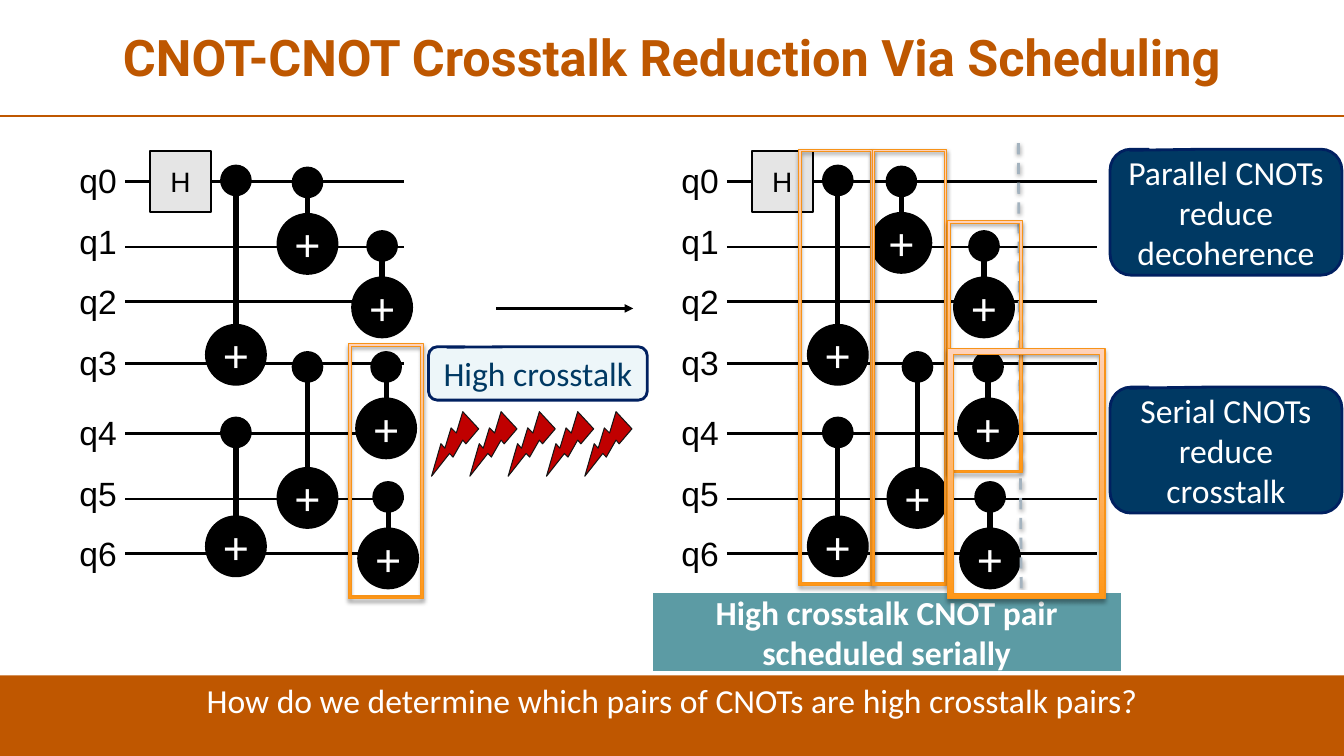
from lxml import etree
from pptx import Presentation
from pptx.dml.color import RGBColor
from pptx.enum.dml import MSO_LINE
from pptx.enum.shapes import MSO_CONNECTOR, MSO_SHAPE
from pptx.enum.text import MSO_ANCHOR, PP_ALIGN
from pptx.oxml.ns import qn
from pptx.util import Inches, Pt

RECT, OVAL, FRAME = MSO_SHAPE.RECTANGLE, MSO_SHAPE.OVAL, MSO_SHAPE.FRAME
BOLT, CALLOUT = MSO_SHAPE.LIGHTNING_BOLT, MSO_SHAPE.ROUNDED_RECTANGULAR_CALLOUT
STRAIGHT, DASH = MSO_CONNECTOR.STRAIGHT, MSO_LINE.DASH
TOP, MIDDLE = MSO_ANCHOR.TOP, MSO_ANCHOR.MIDDLE
LEFT, CENTER = PP_ALIGN.LEFT, PP_ALIGN.CENTER

BLACK, WHITE, ORANGE = "000000", "FFFFFF", "BF5700"
NAVY, NAVY_LINE = "003963", "002060"

# Circuit geometry, measured for the left circuit
WIRES = [1.8, 2.45, 2.99, 3.61, 4.3, 4.95, 5.49]
LABEL_TOPS = [1.54, 2.14, 2.74, 3.34, 4.04, 4.64, 5.24]
DOT, TARGET = 0.3, 0.6
# CNOTs: centre x, top of control, top of target
SHARED_CNOTS = [(3.83, 3.49, 3.95), (2.34, 1.64, 3.22), (3.79, 2.29, 2.75),
                (2.34, 4.14, 5.12), (3.85, 4.78, 5.24)]
LEFT_CNOTS = SHARED_CNOTS + [(3.05, 1.66, 2.12), (3.05, 3.49, 4.64)]
RIGHT_CNOTS = SHARED_CNOTS + [(2.97, 1.65, 2.11), (3.13, 3.49, 4.64)]


def rgb(color):
    return RGBColor.from_string(color)


class Deck:
    """Holds the slide, the place new shapes go to, and the style."""

    def __init__(self, prs):
        self.s = prs.slides.add_slide(prs.slide_layouts[5])
        self.shapes = self.s.shapes

    def add_text(self, tf, lines, size, color, font="Calibri", bold=False,
                 align=CENTER, anchor=MIDDLE):
        tf.word_wrap = True
        tf.vertical_anchor = anchor
        for i, line in enumerate(lines):
            p = tf.paragraphs[0] if i == 0 else tf.add_paragraph()
            p.alignment = align
            r = p.add_run()
            r.text = line
            r.font.size, r.font.bold, r.font.name = Pt(size), bold, font
            r.font.color.rgb = rgb(color)

    def title(self, text, x, y, w, h):
        sp = self.s.shapes.title
        sp.left, sp.top, sp.width, sp.height = map(Inches, (x, y, w, h))
        self.add_text(sp.text_frame, [text], 36, "BE5700", "Roboto", bold=True)
        sp.text_frame.paragraphs[0].line_spacing = 0.9

    def label(self, text, x, y, w, h):
        sp = self.shapes.add_textbox(*map(Inches, (x, y, w, h)))
        self.add_text(sp.text_frame, [text], 24, BLACK, "Arial",
                      align=LEFT, anchor=TOP)

    def shape(self, kind, x, y, w, h, fill, line=None, width=1.0):
        sp = self.shapes.add_shape(kind, *map(Inches, (x, y, w, h)))
        sp.shadow.inherit = False
        sp.fill.solid()
        sp.fill.fore_color.rgb = rgb(fill)
        if line:
            sp.line.color.rgb = rgb(line)
            sp.line.width = Pt(width)
        else:
            sp.line.fill.background()
        return sp

    def line(self, x1, y1, x2, y2, color=BLACK, width=2.0):
        cn = self.shapes.add_connector(
            STRAIGHT, *map(Inches, (x1, y1, x2, y2)))
        cn.line.color.rgb = rgb(color)
        cn.line.width = Pt(width)
        etree.SubElement(cn._element.spPr, qn("a:effectLst"))
        return cn

    def arrow(self, *ends):
        cn = self.line(*ends)
        ln = cn._element.spPr.find(qn("a:ln"))
        etree.SubElement(ln, qn("a:tailEnd"), type="triangle")

    def drop_shadow(self, sp, blur, dist, alpha):
        effects = sp._element.spPr.find(qn("a:effectLst"))
        shadow = etree.SubElement(
            effects, qn("a:outerShdw"), blurRad=str(Pt(blur)),
            dist=str(Pt(dist)), dir="5400000", rotWithShape="0")
        color = etree.SubElement(shadow, qn("a:srgbClr"), val=BLACK)
        etree.SubElement(color, qn("a:alpha"), val=str(alpha * 1000))

    def frame(self, x, y, w, h):
        sp = self.shape(FRAME, x, y, w, h, WHITE, "F79319", 0.75)
        sp.adjustments[0] = 0.036
        sp.fill.gradient()
        sp.fill.gradient_angle = 90
        stops = zip(sp.fill.gradient_stops, (0, 1), ("FF9717", "FFD2B9"))
        for stop, position, color in stops:
            stop.position = position
            stop.color.rgb = rgb(color)
        self.drop_shadow(sp, 3.1, 1.8, 35)

    def callout(self, lines, x, y, w, h, fill, color):
        sp = self.shape(CALLOUT, x, y, w, h, fill, NAVY_LINE, 2)
        for i, value in enumerate((-0.415, -0.491, 0.167)):
            sp.adjustments[i] = value
        self.add_text(sp.text_frame, lines, 24, color)

    def gate(self, kind, text, size, x, y, fill, color, width):
        sp = self.shape(kind, x, y, TARGET, TARGET, fill, BLACK, width)
        tf = sp.text_frame
        tf.margin_left = tf.margin_right = tf.margin_top = tf.margin_bottom = 0
        self.add_text(tf, [text], size, color, "Arial")

    def cnot(self, x, control, target):
        self.shape(OVAL, x - DOT / 2, control, DOT, DOT, BLACK, BLACK)
        self.line(x, control + DOT, x, target, width=3.75)
        self.gate(OVAL, "+", 32, x - TARGET / 2, target, BLACK, WHITE, 1)

    def circuit(self, dx, wire_length, cnots):
        self.shapes = self.s.shapes.add_group_shape().shapes
        for i, (wire, top) in enumerate(zip(WIRES, LABEL_TOPS)):
            self.line(1.24 + dx, wire, 1.24 + dx + wire_length, wire)
            self.label(f"q{i}", 0.69 + dx, top, 0.6, 0.5)
        self.gate(RECT, "H", 20, 1.49 + dx, 1.5, "E5E5E5", BLACK, 1.5)
        for x, control, target in cnots:
            self.cnot(x + dx, control, target)
        self.shapes = self.s.shapes


def main():
    prs = Presentation()
    prs.slide_width, prs.slide_height = Inches(13.33), Inches(7.5)
    d = Deck(prs)

    # Title and rule
    d.title("CNOT-CNOT Crosstalk Reduction Via Scheduling",
            0.09, 0.04, 13.15, 1.11)
    d.line(0, 1.15, 13.33, 1.15, ORANGE, 1.5)

    # Circuits before and after scheduling
    d.circuit(0, 2.77, LEFT_CNOTS)
    d.circuit(5.97, 3.67, RIGHT_CNOTS)

    # Crosstalk marks on the left circuit
    d.frame(3.46, 3.41, 0.74, 2.53)
    for i in range(5):
        bolt = d.shape(BOLT, 4.22 + 0.38 * i, 4.1, 0.53, 0.58,
                       "C00000", "151515", 0.75)
        bolt.rotation = 73.9

    # Time barrier
    barrier = d.line(10.1, 1.42, 10.13, 6.05, "A4B3BF")
    barrier.line.dash_style = DASH
    d.drop_shadow(barrier, 3.1, 1.6, 38)

    # Caption and bottom band
    caption = d.shape(RECT, 6.46, 5.87, 4.67, 0.8, "5C9BA4", WHITE, 2)
    d.add_text(caption.text_frame,
               ["High crosstalk CNOT pair scheduled serially"],
               24, WHITE, bold=True)
    band = d.shape(RECT, 0, 6.7, 13.33, 0.8, ORANGE)
    d.add_text(band.text_frame,
               ["How do we determine which pairs of CNOTs are high crosstalk pairs?"],
               24, WHITE, anchor=TOP)

    # Time steps on the right circuit
    for box in ((7.92, 1.48, 0.74, 4.33), (8.65, 1.48, 0.74, 4.33),
                (9.4, 2.19, 0.74, 2.5), (9.4, 3.46, 1.56, 2.48)):
        d.frame(*box)

    # Callouts and arrow
    d.callout(["Parallel CNOTs reduce", "decoherence"],
              11.01, 1.48, 2.3, 1.25, NAVY, WHITE)
    d.callout(["Serial CNOTs reduce", "crosstalk"],
              11.01, 3.84, 2.3, 1.25, NAVY, WHITE)
    d.arrow(4.92, 3.06, 6.28, 3.06)
    d.callout(["High crosstalk"], 4.25, 3.44, 2.17, 0.53, "EDF6F9", NAVY)

    prs.save("out.pptx")


if __name__ == "__main__":
    main()
